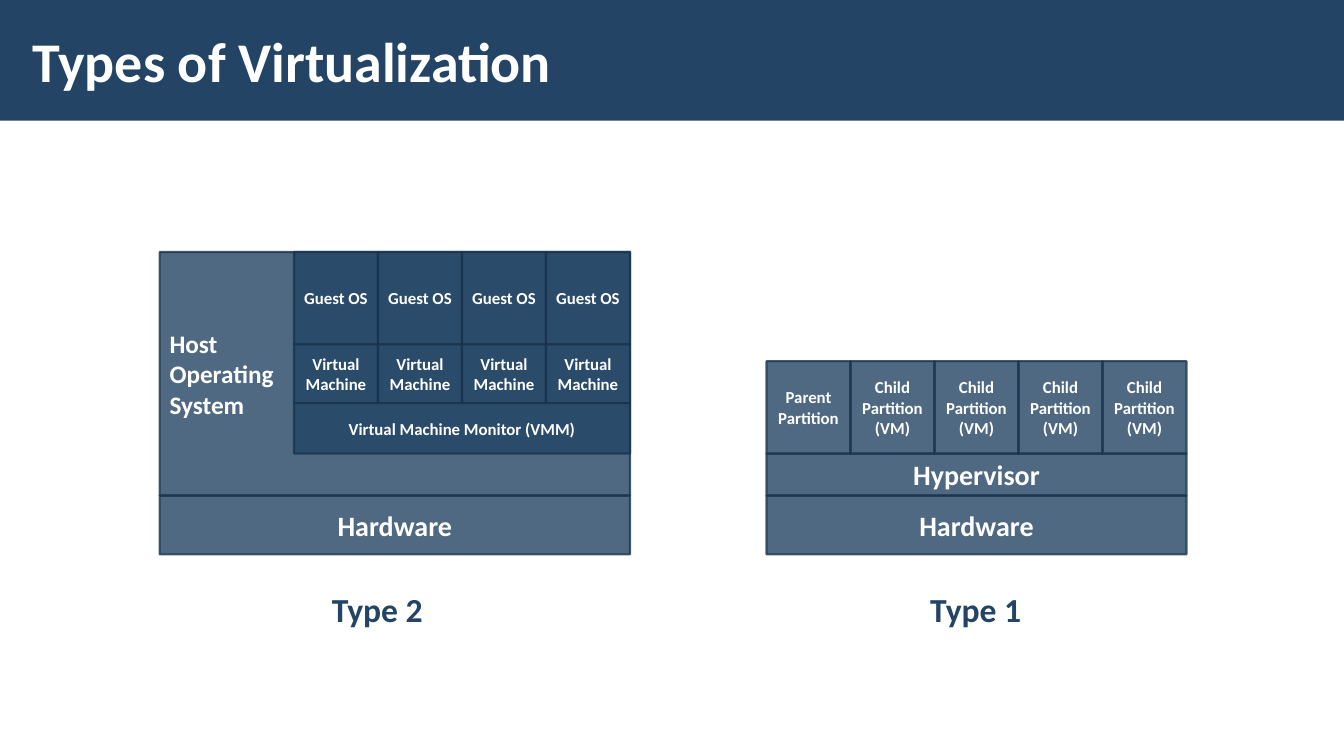
from lxml import etree
from pptx import Presentation
from pptx.dml.color import RGBColor
from pptx.enum.shapes import MSO_SHAPE
from pptx.enum.text import MSO_ANCHOR, PP_ALIGN
from pptx.oxml.ns import qn
from pptx.util import Pt

PX = 9525
RECTANGLE = MSO_SHAPE.RECTANGLE
MIDDLE, TOP = MSO_ANCHOR.MIDDLE, MSO_ANCHOR.TOP
LEFT, CENTER = PP_ALIGN.LEFT, PP_ALIGN.CENTER
COLORS = {"navy": "234465", "outline": "1A334C", "white": "FFFFFF"}
FONT = "Calibri"
OPACITY = 80
CELL_WIDTH = 80
GUEST_HEIGHT, MACHINE_HEIGHT, HARDWARE_HEIGHT = 88, 56, 56
HARDWARE_TOP = 472


def color(name):
    """Return the palette colour with the given name."""
    return RGBColor.from_string(COLORS[name])


def set_opacity(properties):
    """Make every solid colour in the shape properties translucent."""
    for value in properties.iter(qn("a:srgbClr")):
        etree.SubElement(value, qn("a:alpha"), val=str(OPACITY * 1000))


def write_text(shape, text, size, color_name, align, anchor=MIDDLE, spacing=None):
    """Fill a shape with bold text, one paragraph per line."""
    frame = shape.text_frame
    frame.text = text
    frame.vertical_anchor = anchor
    for paragraph in frame.paragraphs:
        paragraph.alignment = align
        paragraph.line_spacing = spacing
        paragraph.font.name = FONT
        paragraph.font.size = Pt(size)
        paragraph.font.bold = True
        paragraph.font.color.rgb = color(color_name)


def add_rectangle(slide, left, top, width, height):
    """Add a plain navy rectangle."""
    shape = slide.shapes.add_shape(RECTANGLE, left * PX, top * PX, width * PX, height * PX)
    shape.shadow.inherit = False
    shape.fill.solid()
    shape.fill.fore_color.rgb = color("navy")
    return shape


def add_block(slide, left, top, width, height, text, size=12, align=CENTER):
    """Add a translucent, outlined layer of a virtualization stack."""
    block = add_rectangle(slide, left, top, width, height)
    block.line.color.rgb = color("outline")
    block.line.width = Pt(1.5)
    set_opacity(block.element.spPr)
    block.text_frame.word_wrap = True
    write_text(block, text, size, "white", align)


def add_row(slide, left, top, height, labels):
    """Add adjoining cells of equal width."""
    for column, label in enumerate(labels):
        add_block(slide, left + column * CELL_WIDTH, top, CELL_WIDTH, height, label)


def add_textbox(slide, left, top, width, height, inset_x, inset_y):
    """Add an empty text box with the given insets."""
    box = slide.shapes.add_textbox(left * PX, top * PX, width * PX, height * PX)
    frame = box.text_frame
    frame.margin_left = frame.margin_right = inset_x * PX
    frame.margin_top = frame.margin_bottom = inset_y * PX
    return box


def add_header(slide, title):
    """Add the title on its full-width band."""
    band = add_rectangle(slide, 0, 0, 1280, 115)
    band.line.fill.background()
    box = add_textbox(slide, 20, 11, 998, 93, 11, 4)
    box.text_frame.word_wrap = True
    write_text(box, title, 40, "white", LEFT)


def add_caption(slide, left, text):
    """Add the type name below a stack."""
    box = add_textbox(slide, left, 545, 118, 63, 15, 12)
    box.text_frame.word_wrap = False
    write_text(box, text, 24, "navy", LEFT, TOP, 1.1)


def add_hosted_stack(slide):
    """Add the stack that runs on a host operating system."""
    left, top, width = 152, 240, 448
    inner_left = left + width - 4 * CELL_WIDTH
    machine_top = top + GUEST_HEIGHT
    monitor_top = machine_top + MACHINE_HEIGHT
    add_block(slide, left, HARDWARE_TOP, width, HARDWARE_HEIGHT, "Hardware", 20)
    add_block(slide, left, top, width, HARDWARE_TOP - top, "Host\nOperating\nSystem", 18, LEFT)
    add_row(slide, inner_left, top, GUEST_HEIGHT, ["Guest OS"] * 4)
    add_row(slide, inner_left, machine_top, MACHINE_HEIGHT, ["Virtual Machine"] * 4)
    add_block(slide, inner_left, monitor_top, 4 * CELL_WIDTH, 48, "Virtual Machine Monitor (VMM)")
    add_caption(slide, 301, "Type 2")


def add_bare_metal_stack(slide):
    """Add the stack that runs directly on the hardware."""
    left, width, hypervisor_height = 730, 5 * CELL_WIDTH, 40
    hypervisor_top = HARDWARE_TOP - hypervisor_height
    partitions = ["Parent Partition"] + ["Child Partition\n(VM)"] * 4
    add_block(slide, left, HARDWARE_TOP, width, HARDWARE_HEIGHT, "Hardware", 20)
    add_block(slide, left, hypervisor_top, width, hypervisor_height, "Hypervisor", 20)
    add_row(slide, left, hypervisor_top - GUEST_HEIGHT, GUEST_HEIGHT, partitions)
    add_caption(slide, 871, "Type 1")


def main():
    """Build and save the slide."""
    presentation = Presentation()
    presentation.slide_width = 1280 * PX
    presentation.slide_height = 720 * PX
    slide = presentation.slides.add_slide(presentation.slide_layouts[6])
    add_header(slide, "Types of Virtualization")
    add_hosted_stack(slide)
    add_bare_metal_stack(slide)
    presentation.save("out.pptx")


if __name__ == "__main__":
    main()
